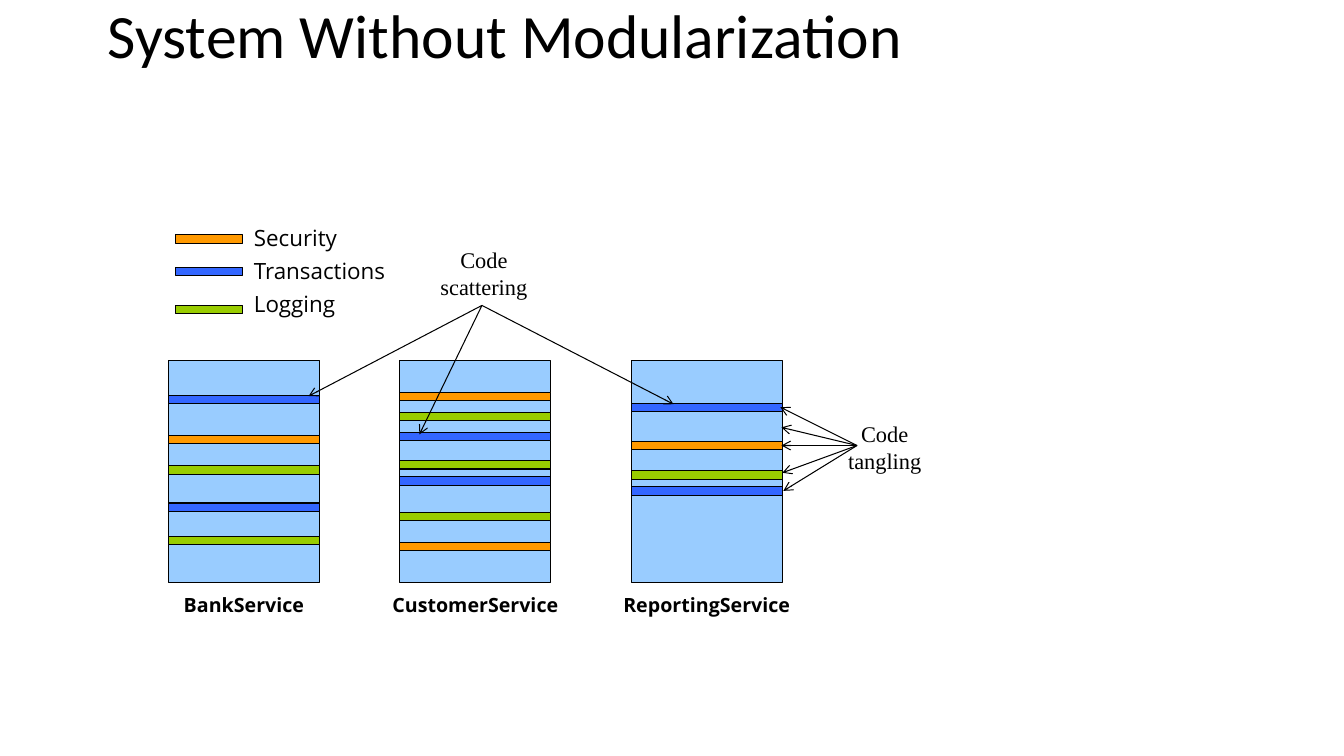
from dataclasses import dataclass

from pptx import Presentation
from pptx.dml.color import RGBColor
from pptx.enum.shapes import MSO_CONNECTOR, MSO_SHAPE
from pptx.enum.text import MSO_ANCHOR, PP_ALIGN
from pptx.oxml.xmlchemy import OxmlElement
from pptx.util import Inches, Pt


@dataclass(frozen=True)
class Theme:
    """Colours, type styles and line width of the slide."""

    ink: str = "000000"
    service: str = "99CCFF"
    security: str = "FF9900"
    transactions: str = "3366FF"
    logging: str = "99CC00"
    line_width: float = 0.74
    title: tuple = ("Calibri", 44, False)
    legend: tuple = ("Open Sans", 16, False)
    caption: tuple = ("Open Sans", 14, True)
    callout: tuple = ("Times New Roman", 16, False)


THEME = Theme()
CELL = 0.1
BODY_LEFT, BODY_TOP, BODY_WIDTH, BODY_HEIGHT = 16.7, 35.8, 15, 22
SERVICE_PITCH = 22.95
BAND_HEIGHT = 0.83

SERVICES = [
    ("BankService", 15.5, [
        ("transactions", 39.2), ("security", 43.2), ("logging", 46.2),
        ("transactions", 49.9), ("logging", 53.2)]),
    ("CustomerService", 20.5, [
        ("security", 38.9), ("logging", 40.9), ("transactions", 42.9),
        ("logging", 45.7), ("transactions", 47.3), ("logging", 50.8),
        ("security", 53.8)]),
    ("ReportingService", 20.8, [
        ("transactions", 40), ("security", 43.8), ("logging", 46.7),
        ("transactions", 48.3)]),
]
LEGEND = [("Security", 23.3), ("Transactions", 26.5), ("Logging", 30.3)]
CALLOUTS = [
    ("Code\nscattering", (42.7, 23.9, 10.6, 6.1), (47.8, 30.3),
     [(66.8, 40.1), (30.6, 39.3), (41.6, 43.1)]),
    ("Code\ntangling", (83.1, 41.2, 9.3, 6.1), (85, 44.2),
     [(77.5, 42.4), (77.4, 40.4), (77.5, 44.2), (77.6, 46.9), (77.7, 48.7)]),
]


def cells(*counts):
    """Turn counts of grid cells into lengths."""
    return [Inches(count * CELL) for count in counts]


def set_format(target, values):
    """Set each attribute of the target from a dict."""
    for name, value in values.items():
        setattr(target, name, value)


def ink_line(shape):
    """Give a shape or connector the thin dark line."""
    shape.line.color.rgb = RGBColor.from_string(THEME.ink)
    shape.line.width = Pt(THEME.line_width)


def add_bar(page, area, colour):
    """Draw an outlined rectangle."""
    bar = page.shapes.add_shape(MSO_SHAPE.RECTANGLE, *cells(*area))
    bar.shadow.inherit = False
    bar.fill.solid()
    bar.fill.fore_color.rgb = RGBColor.from_string(colour)
    ink_line(bar)


def add_text(page, text, area, style, align=PP_ALIGN.LEFT, wrap=True,
             anchor=MSO_ANCHOR.TOP, spacing=1.0):
    """Place text, one paragraph for each line."""
    font, size, bold = style
    box = page.shapes.add_textbox(*cells(*area))
    set_format(box.text_frame, {
        "text": text, "word_wrap": wrap, "vertical_anchor": anchor})
    for para in box.text_frame.paragraphs:
        set_format(para, {"alignment": align, "line_spacing": spacing})
        for span in para.runs:
            set_format(span.font, {"name": font, "size": Pt(size), "bold": bold})
            span.font.color.rgb = RGBColor.from_string(THEME.ink)


def add_arrow(page, start, end):
    """Draw a thin line with an open arrowhead at its end."""
    arrow = page.shapes.add_connector(
        MSO_CONNECTOR.STRAIGHT, *cells(*start, *end))
    ink_line(arrow)
    head = OxmlElement("a:tailEnd")
    head.set("type", "arrow")
    arrow.line._get_or_add_ln().append(head)
    arrow._element.spPr.append(OxmlElement("a:effectLst"))


def add_service(page, index, name, caption_width, bands):
    """Draw a service body, its concern bands and its caption."""
    left = BODY_LEFT + index * SERVICE_PITCH
    add_bar(page, (left, BODY_TOP, BODY_WIDTH, BODY_HEIGHT), THEME.service)
    for concern, top in bands:
        add_bar(page, (left, top, BODY_WIDTH, BAND_HEIGHT),
                getattr(THEME, concern))
    caption_left = left + (BODY_WIDTH - caption_width) / 2
    add_text(page, name, (caption_left, 58.3, caption_width, 3.4),
             THEME.caption, PP_ALIGN.CENTER)


def add_legend(page):
    """List the concerns beside their colours."""
    for index, (name, top) in enumerate(LEGEND):
        add_bar(page, (17.4, top, 6.7, BAND_HEIGHT),
                getattr(THEME, name.lower()))
        add_text(page, name, (24.2, 21.7 + 3.3 * index, 15.8, 3.7),
                 THEME.legend, wrap=False)


def add_callout(page, text, area, start, ends):
    """Place a remark and the arrows that fan out from it."""
    for end in ends:
        add_arrow(page, start, end)
    add_text(page, text, area, THEME.callout, PP_ALIGN.CENTER)


def main():
    """Build the slide and save it."""
    deck = Presentation()
    set_format(deck, {"slide_width": Inches(13.33), "slide_height": Inches(7.5)})
    page = deck.slides.add_slide(deck.slide_layouts[6])
    add_text(page, "System Without Modularization", (9.7, 0, 95.3, 7.7),
             THEME.title, anchor=MSO_ANCHOR.MIDDLE, spacing=0.9)
    for index, service in enumerate(SERVICES):
        add_service(page, index, *service)
    add_legend(page)
    for callout in CALLOUTS:
        add_callout(page, *callout)
    deck.save("out.pptx")


main()
